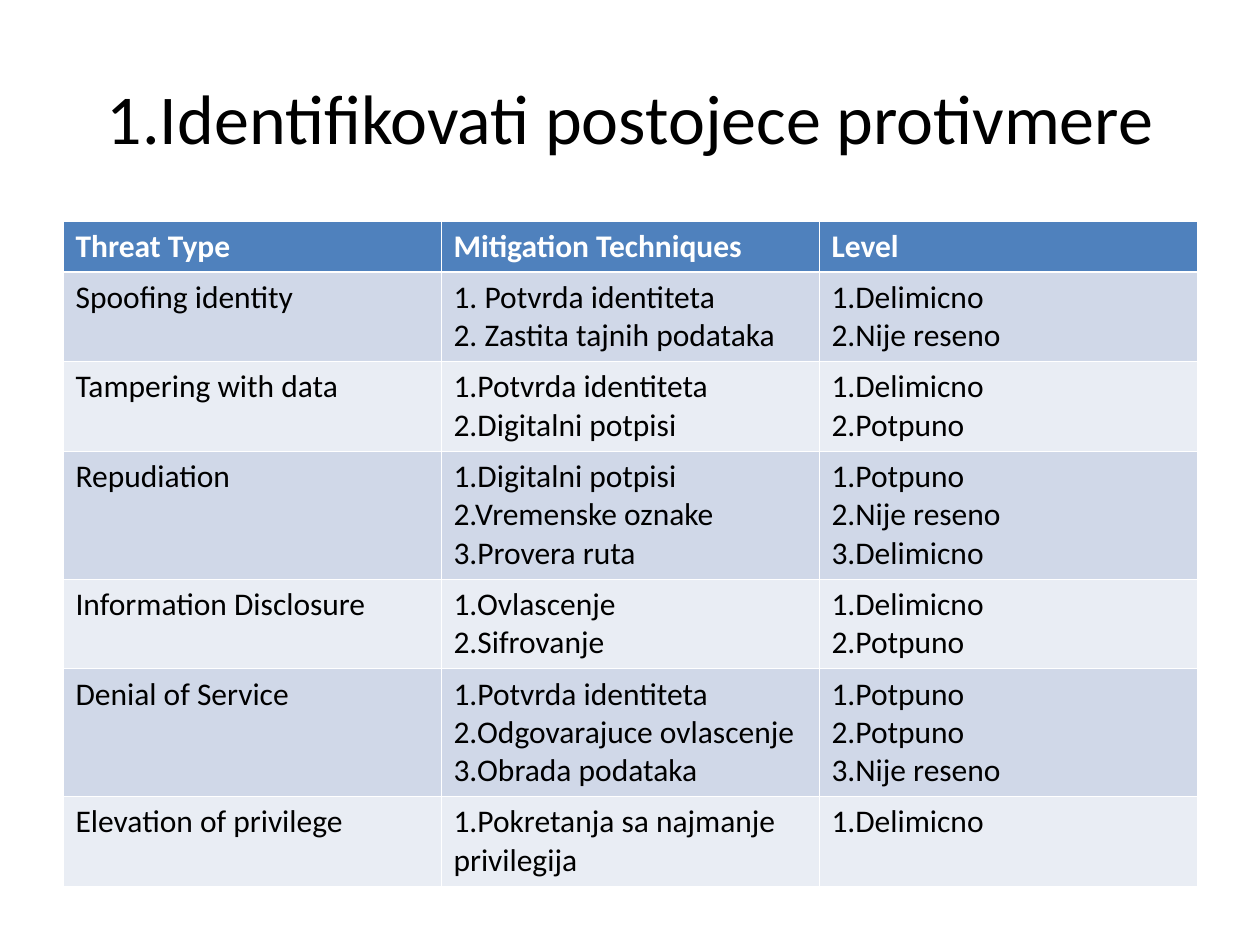
from dataclasses import dataclass

from lxml import etree
from pptx import Presentation
from pptx.dml.color import RGBColor as RGB
from pptx.enum.text import MSO_ANCHOR as ANCHOR, PP_ALIGN as ALIGN
from pptx.oxml.ns import qn
from pptx.util import Pt


@dataclass(frozen=True)
class Theme:
    font: str = "Calibri"
    title_size: int = 40
    cell_size: int = 18
    text: str = "000000"
    header_text: str = "FFFFFF"
    header_fill: str = "4F81BD"
    bands: tuple = ("D0D8E8", "E9EDF4")
    border: str = "FFFFFF"
    thin: float = 0.45
    thick: float = 1.47


def style(p, size, color, bold=False):
    for r in p.runs:
        r.font.name = theme.font
        r.font.size = Pt(size)
        r.font.bold = bold
        r.font.color.rgb = RGB.from_string(color)


def add_border(cell, side, width):
    ln = etree.SubElement(cell._tc.get_or_add_tcPr(), qn(f"a:ln{side}"), w=str(Pt(width)))
    fill = etree.SubElement(ln, qn("a:solidFill"))
    etree.SubElement(fill, qn("a:srgbClr"), val=theme.border)


theme = Theme()
PX = 914400 // 126
LEFT, WIDTH, COLUMN = 63, 1134, 378
LINE, PADDING = 38, 12

rows = [
    (1, "Threat Type", "Mitigation Techniques", "Level"),
    (2, "Spoofing identity", "1. Potvrda identiteta\n2. Zastita tajnih podataka",
     "1.Delimicno\n2.Nije reseno"),
    (2, "Tampering with data", "1.Potvrda identiteta\n2.Digitalni potpisi",
     "1.Delimicno\n2.Potpuno"),
    (3, "Repudiation", "1.Digitalni potpisi\n2.Vremenske oznake\n3.Provera ruta",
     "1.Potpuno\n2.Nije reseno\n3.Delimicno"),
    (2, "Information Disclosure", "1.Ovlascenje\n2.Sifrovanje",
     "1.Delimicno\n2.Potpuno"),
    (3, "Denial of Service",
     "1.Potvrda identiteta\n2.Odgovarajuce ovlascenje\n3.Obrada podataka",
     "1.Potpuno\n2.Potpuno\n3.Nije reseno"),
    (2, "Elevation of privilege", "1.Pokretanja sa najmanje privilegija", "1.Delimicno"),
]
heights = [PADDING + LINE * lines for lines, *_ in rows]

prs = Presentation()
prs.slide_width, prs.slide_height = 1260 * PX, 945 * PX
s = prs.slides.add_slide(prs.slide_layouts[5])

title = s.shapes.title
title.left, title.top, title.width, title.height = (v * PX for v in (LEFT, 38, WIDTH, 157))
tf = title.text_frame
tf.text = "1.Identifikovati postojece protivmere"
tf.vertical_anchor = ANCHOR.MIDDLE
tf.paragraphs[0].alignment = ALIGN.CENTER
style(tf.paragraphs[0], theme.title_size, theme.text)

table = s.shapes.add_table(len(rows), 3, LEFT * PX, 221 * PX, WIDTH * PX, sum(heights) * PX).table
for column in table.columns:
    column.width = COLUMN * PX

for i, (_, *texts) in enumerate(rows):
    table.rows[i].height = heights[i] * PX
    header = i == 0
    fill = theme.header_fill if header else theme.bands[(i - 1) % 2]
    color = theme.header_text if header else theme.text
    for j, text in enumerate(texts):
        cell = table.cell(i, j)
        for side in "LRTB":
            heavy = (i, side) in ((0, "B"), (1, "T"))
            add_border(cell, side, theme.thick if heavy else theme.thin)
        cell.fill.solid()
        cell.fill.fore_color.rgb = RGB.from_string(fill)
        cell.text_frame.text = text
        for p in cell.text_frame.paragraphs:
            style(p, theme.cell_size, color, header)

prs.save("out.pptx")
